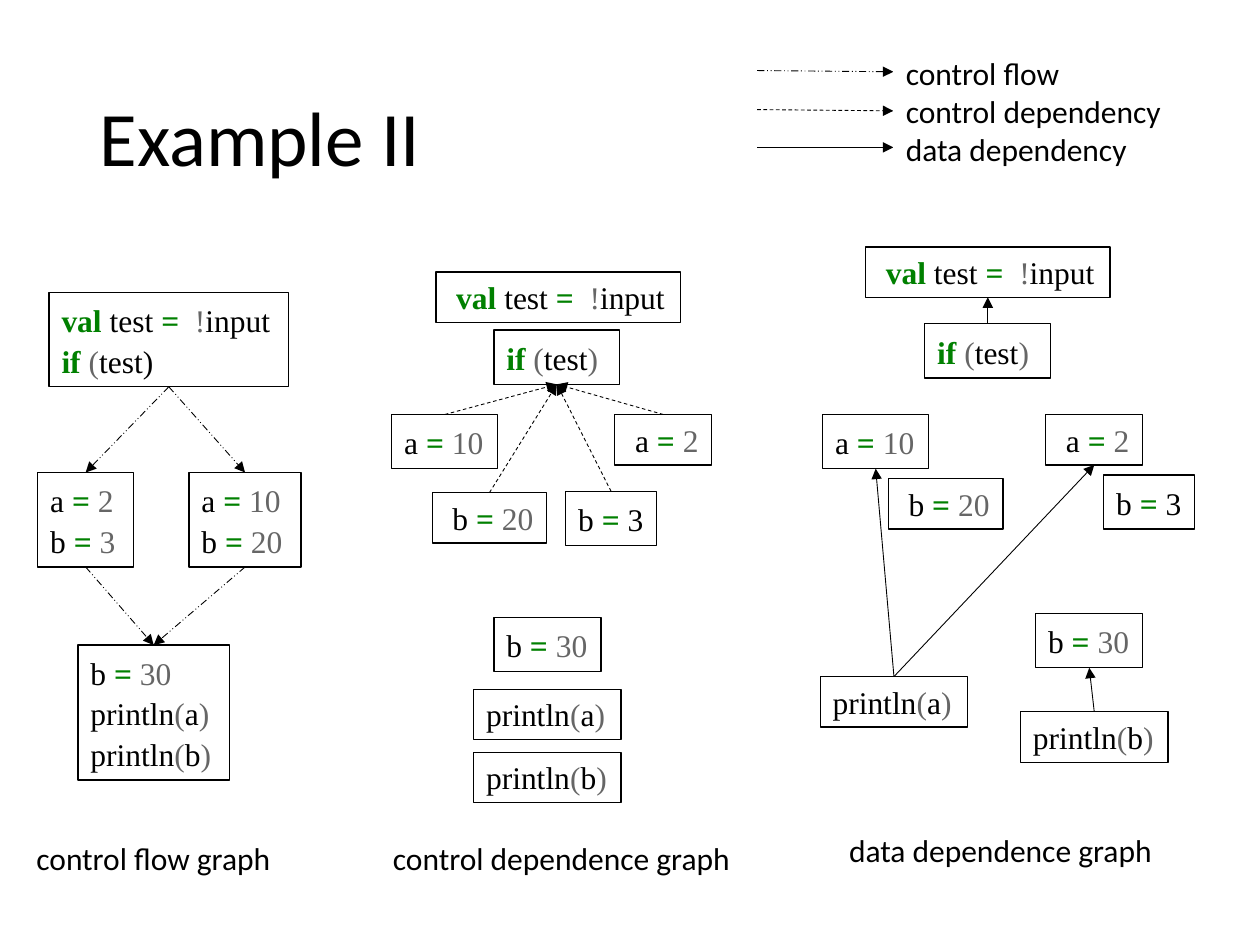
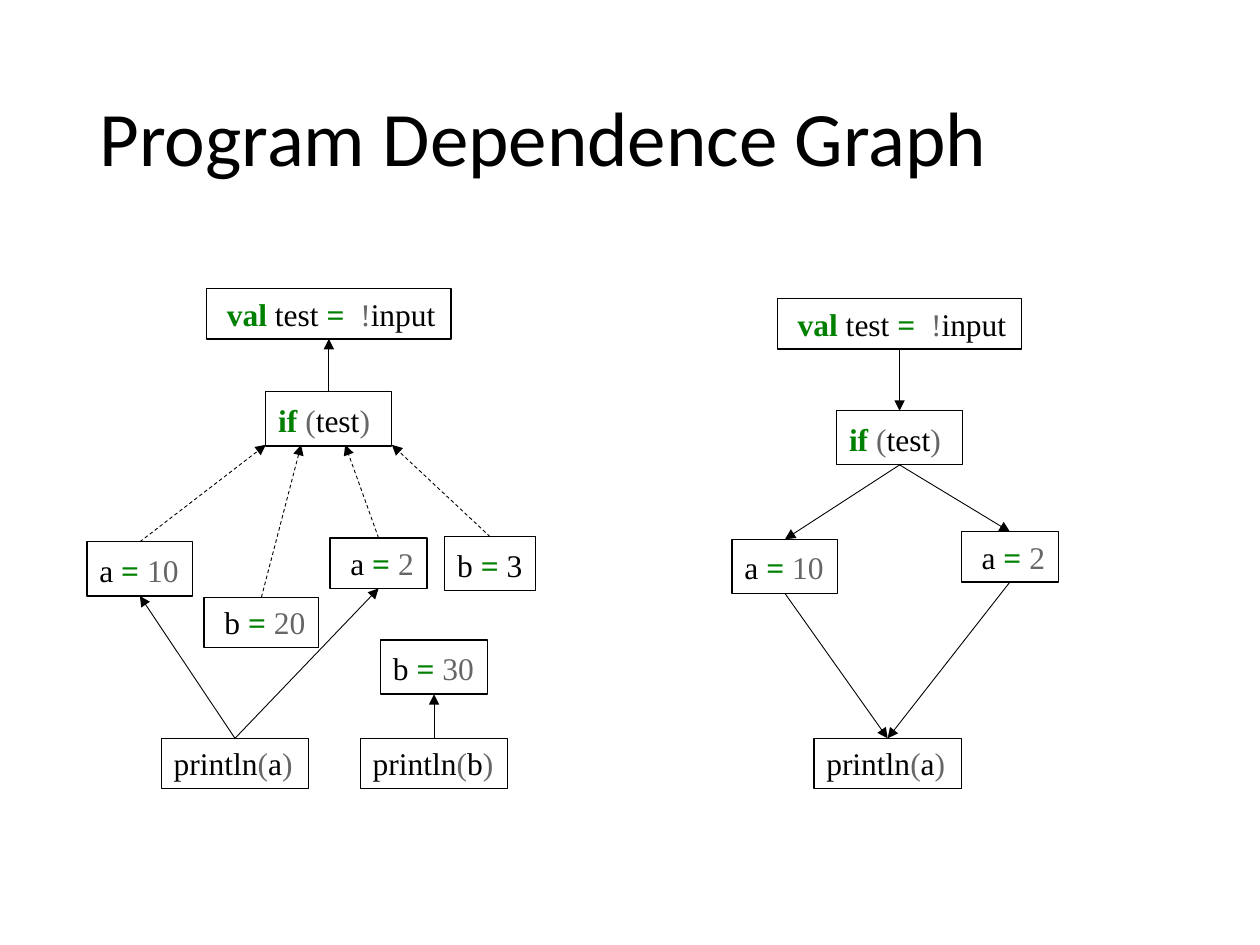
from collections import namedtuple

from lxml.etree import SubElement
from pptx import Presentation
from pptx.dml.color import RGBColor
from pptx.enum.dml import MSO_LINE
from pptx.enum.shapes import MSO_CONNECTOR, MSO_SHAPE
from pptx.enum.text import MSO_ANCHOR, MSO_AUTO_SIZE, PP_ALIGN
from pptx.oxml.ns import qn
from pptx.util import Pt

PX = 9144  # 100 px to the inch
BLACK = RGBColor(0x00, 0x00, 0x00)
WHITE = RGBColor(0xFF, 0xFF, 0xFF)
GREEN = RGBColor(0x00, 0x80, 0x00)
GRAY = RGBColor(0x66, 0x66, 0x66)
TEXT_FONT, CODE_FONT = "Calibri", "Times New Roman"
FLOW, CONTROL, DATA = MSO_LINE.DASH_DOT_DOT, MSO_LINE.DASH, None
TOP, BOTTOM = 0, 2

# Tokens are divided by "|"; black lists the tokens left without highlighting.
Statement = namedtuple("Statement", "code w h spacing wrap black",
                       defaults=(1.07, False, ""))
VAL = Statement(" |val| test |=  |!|input", 194, 40, 1.0)
IF = Statement("if |(|test|)", 100, 43, wrap=True)
A2 = Statement(" a |= |2", 77, 40, 1.0)
A10 = Statement("a |= |10", 84, 43)
B3 = Statement("b |= |3", 72, 43, black="3")
B20 = Statement(" b |= |20", 91, 40, 1.0)
B30 = Statement("b |= |30", 85, 43)
PRINT_A = Statement("println|(|a|)", 117, 40, 1.0, True)
PRINT_B = Statement("println|(|b|)", 117, 40, 1.0)
TEST_BLOCK = Statement("val |test |=  |!|input\nif |(|test)", 190, 75, wrap=True)
SMALL_BLOCK = Statement("a |= |2\nb |= |3", 76, 75, wrap=True)
LARGE_BLOCK = Statement("a |= |10\nb |= |20", 89, 75, wrap=True)
PRINT_BLOCK = Statement("b |= |30\nprintln|(|a|)\nprintln|(|b|)", 120, 107, wrap=True)


def px(*lengths):
    return [round(n * PX) for n in lengths]


def token_style(token, black):
    """Return the colour and weight of one token of code."""
    word = token.strip()
    if word in ("val", "if", "="):
        return GREEN, True
    if word not in black and (word.isdigit() or word in ("!", "(", ")")):
        return GRAY, False
    return BLACK, False


class Deck:
    def __init__(self):
        self.prs = Presentation()
        self.prs.slide_width, self.prs.slide_height = px(1000, 750)
        self.slide = None

    def add_slide(self, title):
        self.slide = self.prs.slides.add_slide(self.prs.slide_layouts[5])
        sp = self.slide.shapes.title
        sp.left, sp.top, sp.width, sp.height = px(69, 40, 862, 145)
        tf = sp.text_frame
        tf.text = title
        tf.auto_size = MSO_AUTO_SIZE.NONE
        tf.vertical_anchor = MSO_ANCHOR.MIDDLE
        self.format(tf.paragraphs[0], TEXT_FONT, 44, 0.9)

    def format(self, p, font, size=18, spacing=1.0):
        p.alignment = PP_ALIGN.LEFT
        p.line_spacing = spacing
        p.font.name, p.font.size = font, Pt(size)
        p.font.color.rgb = BLACK

    def box(self, x, y, w, h, line):
        sp = self.slide.shapes.add_shape(MSO_SHAPE.RECTANGLE, *px(x, y, w, h))
        sp.shadow.inherit = False
        sp.fill.background()
        sp.line.color.rgb = line
        sp.line.width = Pt(0.75)
        sp.text_frame.vertical_anchor = MSO_ANCHOR.TOP
        return sp

    def node(self, stmt, x, y):
        sp = self.box(x, y, stmt.w, stmt.h, BLACK)
        tf = sp.text_frame
        tf.word_wrap = stmt.wrap
        for i, code in enumerate(stmt.code.split("\n")):
            p = tf.add_paragraph() if i else tf.paragraphs[0]
            self.format(p, CODE_FONT, spacing=stmt.spacing)
            for token in code.split("|"):
                r = p.add_run()
                r.text = token
                r.font.color.rgb, r.font.bold = token_style(token, stmt.black)
        return sp

    def plain_text(self, sp, text):
        tf = sp.text_frame
        tf.word_wrap = False
        tf.text = text
        for p in tf.paragraphs:
            self.format(p, TEXT_FONT)

    def caption(self, text, x, y, w):
        self.plain_text(self.slide.shapes.add_textbox(*px(x, y, w, 40)), text)

    def arrow(self, start, end, dash=DATA):
        line = self.slide.shapes.add_connector(
            MSO_CONNECTOR.STRAIGHT, *px(*start, *end))
        line.line.color.rgb = BLACK
        line.line.width = Pt(0.5)
        if dash:
            line.line.dash_style = dash
        spPr = line._element.spPr
        SubElement(spPr.find(qn("a:ln")), qn("a:tailEnd"), type="triangle")
        SubElement(spPr, qn("a:effectLst"))
        return line

    def flow(self, source, target, dash=DATA):
        """Point from the bottom of source down to the top of target."""
        line = self.arrow((0, 0), (0, 0), dash)
        line.begin_connect(source, BOTTOM)
        line.end_connect(target, TOP)

    def depend(self, source, target, dash=DATA):
        """Point from the top of source up to the bottom of target."""
        line = self.arrow((0, 0), (0, 0), dash)
        line.begin_connect(source, TOP)
        line.end_connect(target, BOTTOM)

    def legend(self):
        for y, end_y, dash in ((56, 57, FLOW), (87, 88, CONTROL), (117, 117, DATA)):
            self.arrow((601, y), (709, end_y), dash)
        sp = self.box(709, 38, 225, 101, WHITE)
        sp.fill.solid()
        sp.fill.fore_color.rgb = WHITE
        self.plain_text(sp, "control flow\ncontrol dependency\ndata dependency")


def control_flow_graph(deck):
    test = deck.node(TEST_BLOCK, 39, 232)
    branches = deck.node(SMALL_BLOCK, 30, 375), deck.node(LARGE_BLOCK, 150, 375)
    output = deck.node(PRINT_BLOCK, 62, 512)
    for branch in branches:
        deck.flow(test, branch, FLOW)
        deck.flow(branch, output, FLOW)
    deck.caption("control flow graph", 19, 661, 208)


def control_dependence_graph(deck):
    deck.node(VAL, 346, 216)
    test = deck.node(IF, 392, 262)
    for stmt, x, y in ((A2, 488, 329), (B3, 449, 390), (A10, 311, 329), (B20, 343, 391)):
        deck.depend(deck.node(stmt, x, y), test, CONTROL)
    deck.node(B30, 392, 490)
    deck.node(PRINT_A, 376, 547)
    deck.node(PRINT_B, 376, 597)
    deck.caption("control dependence graph", 302, 661, 291)


def data_dependence_graph(deck):
    val = deck.node(VAL, 687, 196)
    deck.depend(deck.node(IF, 734, 257), val)
    a2, a10 = deck.node(A2, 830, 329), deck.node(A10, 653, 329)
    deck.node(B20, 705, 380)
    deck.node(B3, 876, 377)
    b30 = deck.node(B30, 822, 487)
    print_a = deck.node(PRINT_A, 651, 537)
    deck.depend(print_a, a10)
    deck.depend(print_a, a2)
    deck.depend(deck.node(PRINT_B, 810, 565), b30)
    deck.caption("data dependence graph", 664, 655, 264)


def program_dependence_graph(deck):
    val = deck.node(VAL, 164, 229)
    deck.depend(deck.node(IF, 211, 311), val)
    a2, a10 = deck.node(A2, 262, 427), deck.node(A10, 69, 430)
    b20, b3 = deck.node(B20, 162, 474), deck.node(B3, 353, 426)
    for assignment, end_x in ((a10, 211), (b20, 239), (a2, 274), (b3, 311)):
        deck.arrow((0, 0), (end_x, 353), CONTROL).begin_connect(assignment, TOP)
    b30 = deck.node(B30, 302, 508)
    print_a = deck.node(PRINT_A, 128, 586)
    deck.depend(print_a, a10)
    deck.depend(print_a, a2)
    deck.depend(deck.node(PRINT_B, 286, 586), b30)


def forward_slice(deck):
    val, test = deck.node(VAL, 617, 237), deck.node(IF, 664, 326)
    output = deck.node(PRINT_A, 646, 586)
    deck.flow(val, test)
    for branch in (deck.node(A10, 581, 428), deck.node(A2, 763, 422)):
        deck.flow(test, branch)
        deck.flow(branch, output)


def main():
    deck = Deck()
    deck.add_slide("Example II")
    control_flow_graph(deck)
    control_dependence_graph(deck)
    data_dependence_graph(deck)
    deck.legend()
    deck.add_slide("Program Dependence Graph")
    program_dependence_graph(deck)
    forward_slice(deck)
    deck.prs.save("out.pptx")


if __name__ == "__main__":
    main()
